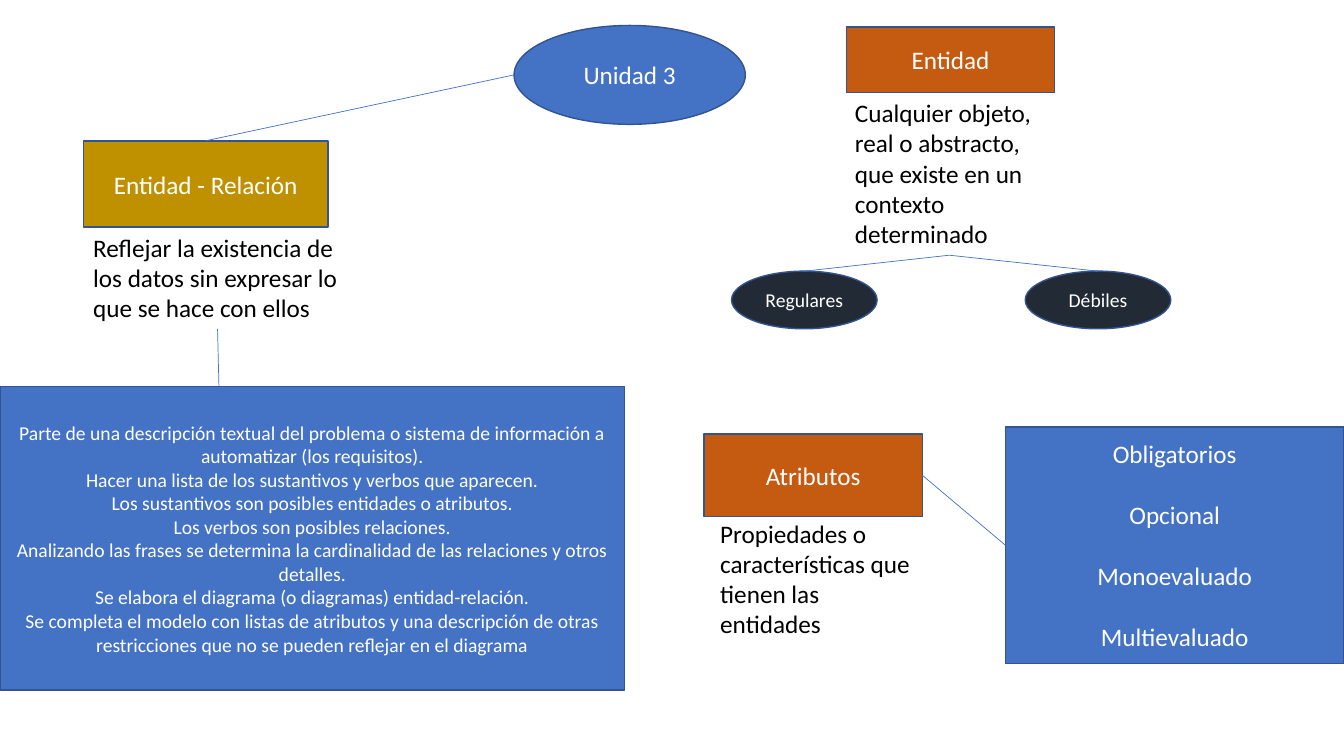
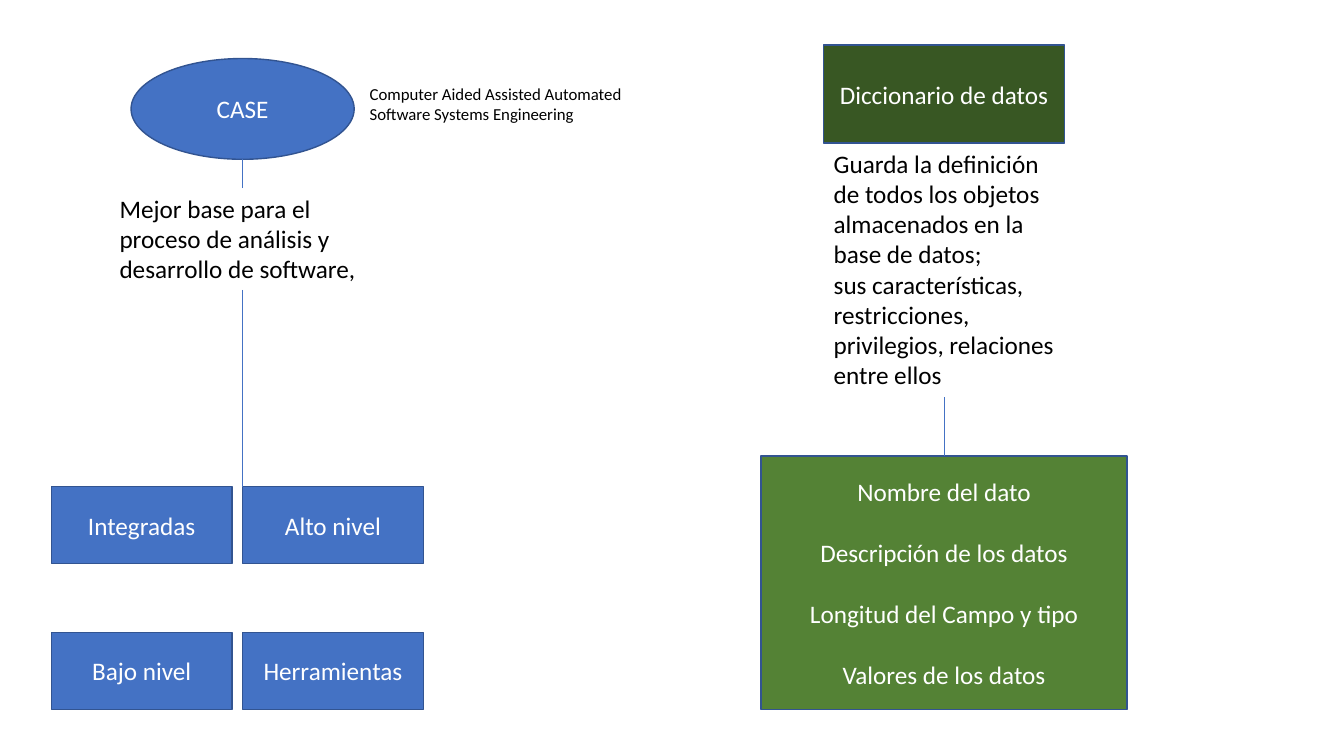
from dataclasses import dataclass

from lxml.etree import SubElement
from pptx import Presentation
from pptx.dml.color import RGBColor
from pptx.enum.shapes import MSO_CONNECTOR, MSO_SHAPE
from pptx.enum.text import MSO_ANCHOR, MSO_AUTO_SIZE, PP_ALIGN
from pptx.oxml.ns import qn
from pptx.util import Pt

TOP, LEFT, BOTTOM, RIGHT = range(4)


@dataclass(frozen=True)
class Theme:
    font: str = "Calibri"
    body: int = 18
    detail: int = 14
    note: int = 12
    list_gap: int = 22
    outline_width: float = 1
    link_width: float = 0.5
    blue: str = "4472C4"
    outline: str = "325491"
    gold: str = "BF9000"
    orange: str = "C55A11"
    navy: str = "222A35"
    dark_green: str = "385723"
    green: str = "548235"
    white: str = "FFFFFF"
    black: str = "000000"


class ConceptMap:
    def __init__(self, theme):
        self.theme = theme
        self.deck = Presentation()
        self.deck.slide_width, self.deck.slide_height = Pt(960), Pt(540)
        self.slide = None

    def new_slide(self):
        self.slide = self.deck.slides.add_slide(self.deck.slide_layouts[6])

    def set_lines(self, frame, lines, size, color, align, gap=0):
        frame.word_wrap = True
        frame.text = "\n".join(lines)
        for index, paragraph in enumerate(frame.paragraphs):
            paragraph.alignment = align
            paragraph.space_before = Pt(gap if index else 0)
            paragraph.font.name = self.theme.font
            paragraph.font.size = Pt(size)
            paragraph.font.color.rgb = RGBColor.from_string(color)

    def node(self, area, lines, fill, kind=MSO_SHAPE.RECTANGLE, size=None, gap=0):
        node = self.slide.shapes.add_shape(kind, *map(Pt, area))
        node.shadow.inherit = False
        node.fill.solid()
        node.fill.fore_color.rgb = RGBColor.from_string(fill)
        node.line.color.rgb = RGBColor.from_string(self.theme.outline)
        node.line.width = Pt(self.theme.outline_width)
        node.text_frame.vertical_anchor = MSO_ANCHOR.MIDDLE
        self.set_lines(node.text_frame, lines, size or self.theme.body,
                       self.theme.white, PP_ALIGN.CENTER, gap)
        return node

    def oval(self, area, label, fill, size=None):
        return self.node(area, [label], fill, MSO_SHAPE.OVAL, size)

    def item_list(self, area, items, fill):
        return self.node(area, items, fill, gap=self.theme.list_gap)

    def caption(self, area, *lines, size=None):
        caption = self.slide.shapes.add_textbox(*map(Pt, area))
        self.set_lines(caption.text_frame, lines, size or self.theme.body,
                       self.theme.black, PP_ALIGN.LEFT)
        caption.text_frame.auto_size = MSO_AUTO_SIZE.SHAPE_TO_FIT_TEXT
        return caption

    def link(self, source, side, target):
        link = self.slide.shapes.add_connector(
            MSO_CONNECTOR.STRAIGHT, 0, 0, *map(Pt, target))
        link.begin_connect(source, side)
        link.line.color.rgb = RGBColor.from_string(self.theme.blue)
        link.line.width = Pt(self.theme.link_width)
        SubElement(link.element.spPr, qn("a:effectLst"))
        return link

    def join(self, source, side, target, target_side):
        self.link(source, side, (0, 0)).end_connect(target, target_side)


def build_entity_relation(board):
    theme = board.theme
    board.new_slide()
    board.oval((367.2, 18.2, 165.2, 70.6), "Unidad 3", theme.blue)
    purpose = board.caption(
        (59.5, 162.2, 191.8, 72.7),
        "Reflejar la existencia de los datos sin expresar lo que se hace con ellos")
    relation = board.node((59.5, 100.6, 174.8, 61.6), ["Entidad - Relación"], theme.gold)
    board.link(relation, TOP, (367.2, 53.5))
    steps = [
        "Parte de una descripción textual del problema o sistema de información a automatizar (los requisitos).",
        "Hacer una lista de los sustantivos y verbos que aparecen.",
        "Los sustantivos son posibles entidades o atributos.",
        "Los verbos son posibles relaciones.",
        "Analizando las frases se determina la cardinalidad de las relaciones y otros detalles.",
        "Se elabora el diagrama (o diagramas) entidad-relación.",
        "Se completa el modelo con listas de atributos y una descripción de otras restricciones que no se pueden reflejar en el diagrama",
    ]
    board.node((0, 276.2, 446.2, 216.6), steps, theme.blue, size=theme.detail)
    board.link(purpose, BOTTOM, (156.4, 276.2))

    board.node((604.8, 19.2, 148.3, 46.8), ["Entidad"], theme.orange)
    entity_meaning = board.caption(
        (603.6, 66, 149, 116.3),
        "Cualquier objeto, real o abstracto, que existe en un contexto", "determinado")
    for index, entity_type in enumerate(["Regulares", "Débiles"]):
        area = (522.5 + index * 209.8, 193.7, 104, 41.2)
        oval = board.oval(area, entity_type, theme.navy, theme.detail)
        board.join(entity_meaning, BOTTOM, oval, TOP)

    attributes = board.node((502.8, 310, 156, 59), ["Atributos"], theme.orange)
    board.caption((507.4, 366.5, 151.2, 94.5),
                  "Propiedades o características que", "tienen las entidades")
    attribute_types = board.item_list(
        (718.2, 305, 241.8, 169),
        ["Obligatorios", "Opcional", "Monoevaluado", "Multievaluado"], theme.blue)
    board.join(attributes, RIGHT, attribute_types, LEFT)


def build_case_and_dictionary(board):
    theme = board.theme
    board.new_slide()
    board.oval((93.6, 41.8, 159.4, 72), "CASE", theme.blue)
    benefit = board.caption(
        (78.3, 134.4, 190, 72.7),
        "Mejor base para el proceso de análisis y desarrollo de software,")
    board.link(benefit, TOP, (173.3, 113.8))
    board.caption((257, 56.3, 222.5, 36.4),
                  "Computer Aided Assisted Automated Software Systems Engineering",
                  size=theme.note)
    for index, tool in enumerate(["Integradas", "Alto nivel", "Bajo nivel", "Herramientas"]):
        row, column = divmod(index, 2)
        board.node((36.7 + column * 136.6, 347.6 + row * 104.1, 129, 55), [tool], theme.blue)
    board.link(benefit, BOTTOM, (173.3, 347.6))

    board.node((588.4, 32.3, 171.8, 69.8), ["Diccionario de datos"], theme.dark_green)
    dictionary_meaning = board.caption(
        (588.4, 102.2, 171.8, 181.4),
        "Guarda la definición de todos los objetos almacenados en la base de datos;",
        "sus características, restricciones, privilegios, relaciones entre ellos")
    contents = board.item_list(
        (543.7, 325.7, 261.2, 181.2),
        ["Nombre del dato", "Descripción de los datos",
         "Longitud del Campo y tipo", "Valores de los datos"], theme.green)
    board.join(contents, TOP, dictionary_meaning, BOTTOM)


def main():
    board = ConceptMap(Theme())
    build_entity_relation(board)
    build_case_and_dictionary(board)
    board.deck.save("out.pptx")


if __name__ == "__main__":
    main()
